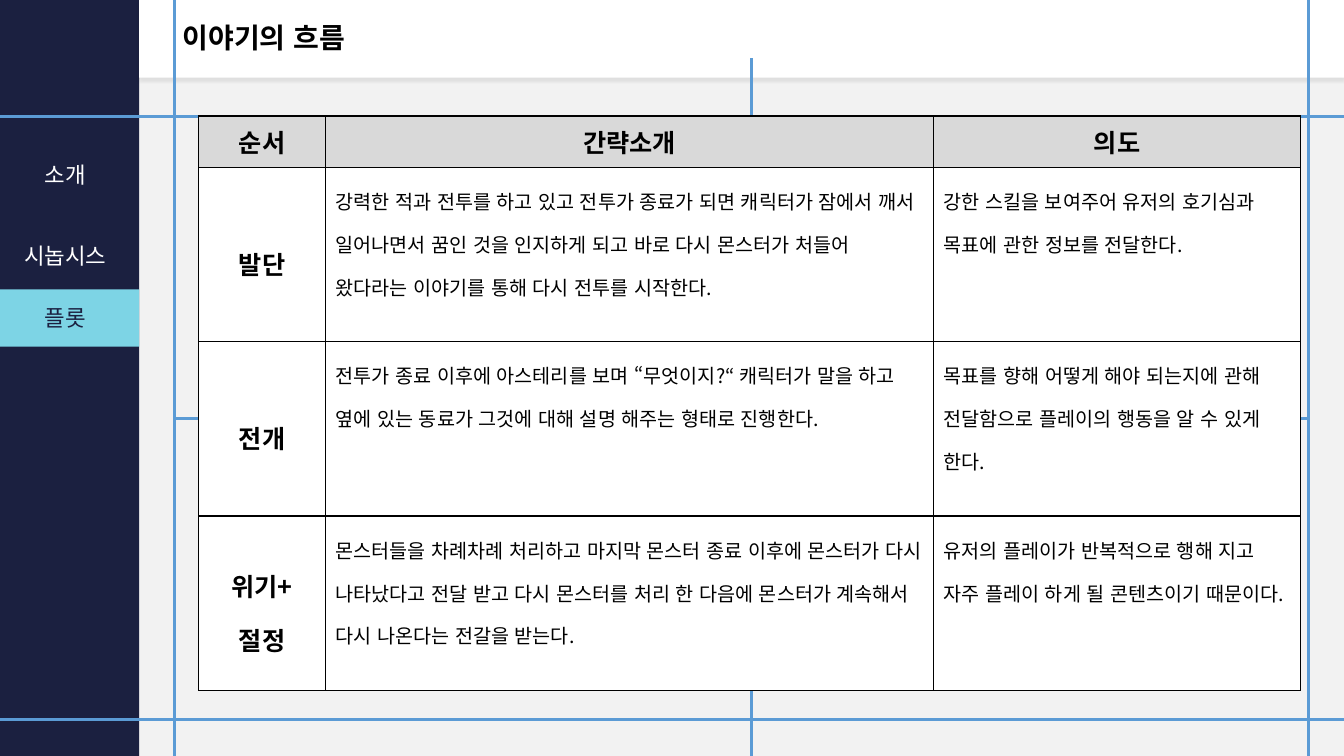
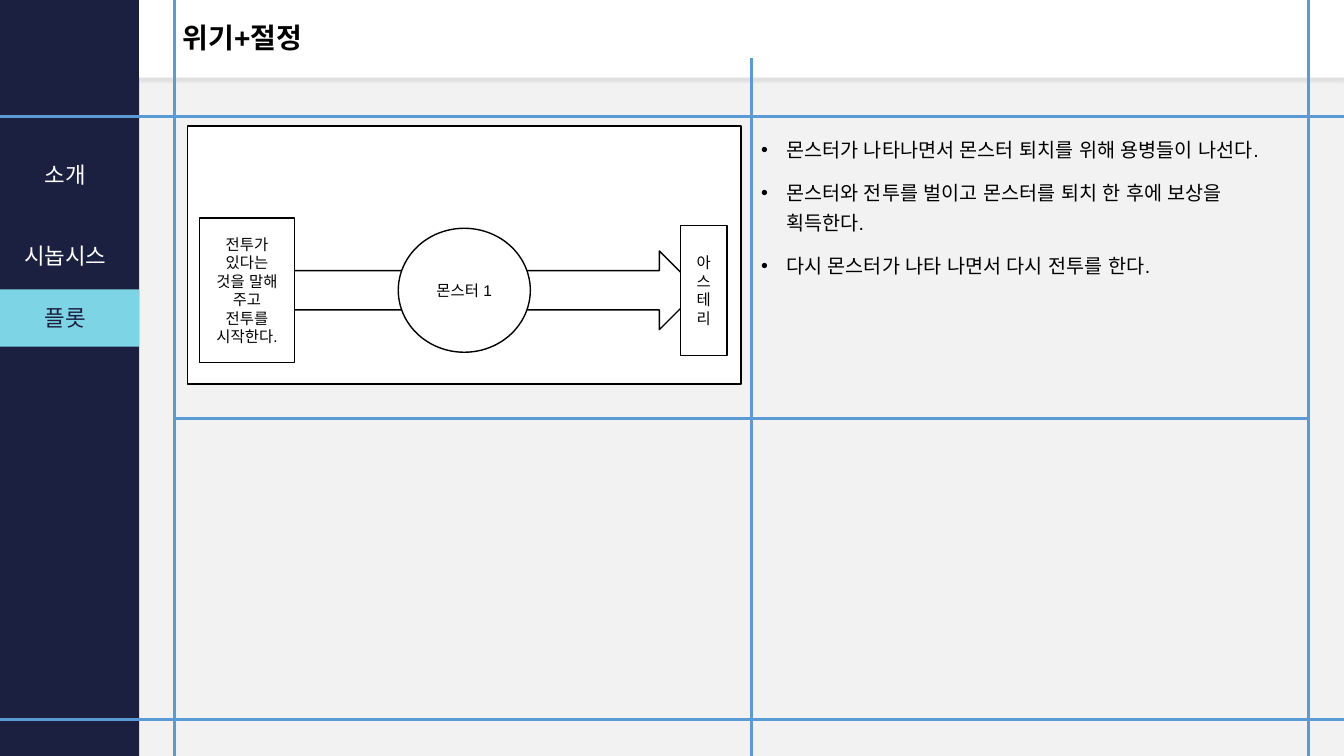
import lxml.etree
import pptx
import pptx.dml.color
import pptx.enum.lang
import pptx.enum.shapes
import pptx.enum.text
import pptx.oxml.ns
import pptx.util

Inches = pptx.util.Inches
Pt = pptx.util.Pt
ALIGN = pptx.enum.text.PP_ALIGN
ANCHOR = pptx.enum.text.MSO_ANCHOR
SHAPE = pptx.enum.shapes.MSO_SHAPE

COLORS = {
    "background": "F2F2F2", "navy": "1B2040", "highlight": "7DD4E5",
    "guide": "5B9BD5", "white": "FFFFFF", "black": "000000", "header": "D9D9D9",
}
LATIN_FONT = "Arial"
KOREAN_FONT = "Noto Sans CJK KR"

# Page grid in inches
WIDTH, HEIGHT = 13.33, 7.5
SIDEBAR = 1.38
BAND = 0.77
COLUMN_LEFT, COLUMN_MIDDLE, COLUMN_RIGHT = 1.73, 7.45, 12.98
ROW_TOP, ROW_MIDDLE, ROW_BOTTOM = 1.16, 4.15, 7.14
GUTTER = 0.1

MENU = [("소개", 1.55, "white"), ("시놉시스", 2.35, "white"), ("플롯", 2.97, "navy")]

PLOT_HEADER = ["순서", "간략소개", "의도"]
PLOT_ROWS = [
    ["발단",
     "강력한 적과 전투를 하고 있고 전투가 종료가 되면 캐릭터가 잠에서 깨서 일어나면서 꿈인 것을 "
     "인지하게 되고 바로 다시 몬스터가 처들어 왔다라는 이야기를 통해 다시 전투를 시작한다.",
     "강한 스킬을 보여주어 유저의 호기심과 목표에 관한 정보를 전달한다."],
    ["전개",
     "전투가 종료 이후에 아스테리를 보며 “무엇이지?“ 캐릭터가 말을 하고 옆에 있는 동료가 "
     "그것에 대해 설명 해주는 형태로 진행한다.",
     "목표를 향해 어떻게 해야 되는지에 관해 전달함으로 플레이의 행동을 알 수 있게 한다."],
    ["위기+\n절정",
     "몬스터들을 차례차례 처리하고 마지막 몬스터 종료 이후에 몬스터가 다시 나타났다고 전달 받고 "
     "다시 몬스터를 처리 한 다음에 몬스터가 계속해서 다시 나온다는 전갈을 받는다.",
     "유저의 플레이가 반복적으로 행해 지고 자주 플레이 하게 될 콘텐츠이기 때문이다."],
]
CLIMAX_POINTS = [
    "몬스터가 나타나면서 몬스터 퇴치를 위해 용병들이 나선다.",
    "몬스터와 전투를 벌이고 몬스터를 퇴치 한 후에 보상을 획득한다.",
    "다시 몬스터가 나타 나면서 다시 전투를 한다.",
]


def rgb(name):
    return pptx.dml.color.RGBColor.from_string(COLORS[name])


def add_xml(parent, tag, **attributes):
    return lxml.etree.SubElement(parent, pptx.oxml.ns.qn(tag), attributes)


def format_text(text_frame, size, color="black", bold=False, align=ALIGN.LEFT,
                spacing=1.0, font=LATIN_FONT):
    for paragraph in text_frame.paragraphs:
        paragraph.alignment = align
        paragraph.line_spacing = spacing
        for run in paragraph.runs:
            run.font.size = Pt(size)
            run.font.bold = bold
            run.font.color.rgb = rgb(color)
            run.font.name = font
            run.font.language_id = pptx.enum.lang.MSO_LANGUAGE_ID.KOREAN
            add_xml(run.font._element, "a:ea", typeface=KOREAN_FONT)


# Basic elements

def add_block(slide, kind, left, top, width, height, fill="white", outline=None, text=""):
    shape = slide.shapes.add_shape(kind, Inches(left), Inches(top),
                                   Inches(width), Inches(height))
    shape.shadow.inherit = False
    shape.fill.solid()
    shape.fill.fore_color.rgb = rgb(fill)
    if outline:
        shape.line.color.rgb = rgb(outline)
        shape.line.width = Pt(1)
    else:
        shape.line.fill.background()
    if text:
        shape.text_frame.text = text
        shape.text_frame.vertical_anchor = ANCHOR.MIDDLE
        format_text(shape.text_frame, 11, align=ALIGN.CENTER)
    return shape


def add_text(slide, left, top, width, height, text, wrap=True):
    box = slide.shapes.add_textbox(Inches(left), Inches(top), Inches(width), Inches(height))
    box.text_frame.word_wrap = wrap
    box.text_frame.text = text
    return box.text_frame


def add_guide(slide, x1, y1, x2, y2):
    line = slide.shapes.add_connector(pptx.enum.shapes.MSO_CONNECTOR.STRAIGHT,
                                      Inches(x1), Inches(y1), Inches(x2), Inches(y2))
    line.line.color.rgb = rgb("guide")
    line.line.width = Pt(2.25)
    add_xml(line.element.spPr, "a:effectLst")


def add_soft_shadow(shape):
    effects = shape.element.spPr.find(pptx.oxml.ns.qn("a:effectLst"))
    shadow = add_xml(effects, "a:outerShdw", blurRad=str(Pt(2)), dist=str(Pt(2)),
                     dir="5400000", algn="t", rotWithShape="0")
    color = add_xml(shadow, "a:srgbClr", val=COLORS["black"])
    add_xml(color, "a:alpha", val="8000")


# Shared frame, kept on the layout

def draw_frame(slide):
    add_block(slide, SHAPE.RECTANGLE, 0, 0, SIDEBAR, HEIGHT, "navy")
    add_soft_shadow(add_block(slide, SHAPE.RECTANGLE, SIDEBAR, 0, WIDTH - SIDEBAR, BAND))
    for x in (COLUMN_LEFT, COLUMN_RIGHT):
        add_guide(slide, x, 0, x, HEIGHT)
    for y in (ROW_TOP, ROW_BOTTOM):
        add_guide(slide, 0, y, WIDTH, y)
    add_guide(slide, COLUMN_LEFT, ROW_MIDDLE, COLUMN_RIGHT, ROW_MIDDLE)
    add_guide(slide, COLUMN_MIDDLE, 0.58, COLUMN_MIDDLE, HEIGHT)
    add_block(slide, SHAPE.RECTANGLE, 0, 2.87, SIDEBAR, 0.57, "highlight")
    for label, top, color in MENU:
        text_frame = add_text(slide, 0, top, 1.3, 0.37, label)
        format_text(text_frame, 16, color, align=ALIGN.CENTER)


def move_frame_to_layout(slide):
    layout = slide.slide_layout
    layout.background.fill.solid()
    layout.background.fill.fore_color.rgb = rgb("background")
    for shape in list(slide.shapes):
        if not shape.is_placeholder:
            layout.element.cSld.spTree.append(shape.element)


def set_title(slide, text):
    title = slide.shapes.title
    title.left, title.top = Inches(1.71), 0
    title.width, title.height = Inches(10.09), Inches(0.78)
    title.text_frame.text = text
    title.text_frame.auto_size = pptx.enum.text.MSO_AUTO_SIZE.NONE
    title.text_frame.vertical_anchor = ANCHOR.MIDDLE
    format_text(title.text_frame, 20, bold=True, spacing=0.9)


# Plot table

def format_cell(cell, text, fill, is_label, spacing):
    properties = cell._tc.get_or_add_tcPr()
    for side in ("a:lnL", "a:lnR", "a:lnT", "a:lnB"):
        border = add_xml(properties, side, w=str(Pt(1)))
        add_xml(add_xml(border, "a:solidFill"), "a:srgbClr", val=COLORS["black"])
    cell.fill.solid()
    cell.fill.fore_color.rgb = rgb(fill)
    cell.text_frame.text = text
    cell.vertical_anchor = ANCHOR.MIDDLE if is_label else ANCHOR.TOP
    format_text(cell.text_frame, 18 if is_label else 14, bold=is_label,
                align=ALIGN.CENTER if is_label else ALIGN.LEFT,
                spacing=spacing, font=KOREAN_FONT)


def add_plot_table(slide, left, top, widths, header_height, row_height):
    rows = [PLOT_HEADER] + PLOT_ROWS
    heights = [header_height] + [row_height] * len(PLOT_ROWS)
    table = slide.shapes.add_table(len(rows), len(widths), Inches(left), Inches(top),
                                   Inches(sum(widths)), Inches(sum(heights))).table
    table.first_row = table.horz_banding = False
    for column, width in zip(table.columns, widths):
        column.width = Inches(width)
    for i, (texts, height) in enumerate(zip(rows, heights)):
        table.rows[i].height = Inches(height)
        for j, text in enumerate(texts):
            is_header = i == 0
            format_cell(table.cell(i, j), text, "header" if is_header else "white",
                        is_header or j == 0, 1.0 if is_header else 1.5)


# Climax slide parts

def add_bullets(slide, points):
    text_frame = add_text(slide, COLUMN_MIDDLE, ROW_TOP + GUTTER,
                          COLUMN_RIGHT - COLUMN_MIDDLE, 5.6, "\n".join(points))
    indent = Inches(0.25)
    for index, paragraph in enumerate(text_frame.paragraphs):
        properties = paragraph._p.get_or_add_pPr()
        properties.set("marL", str(indent))
        properties.set("indent", str(-indent))
        add_xml(properties, "a:buFont", typeface=LATIN_FONT)
        add_xml(properties, "a:buChar", char="•")
        if index:
            paragraph.space_before = Pt(10)
    format_text(text_frame, 14, spacing=1.25)


def add_battle_diagram(slide):
    left = COLUMN_LEFT + 0.13
    width = COLUMN_MIDDLE - GUTTER - left
    axis = 2.88
    add_block(slide, SHAPE.RECTANGLE, left, ROW_TOP + 0.09, width, 2.56, outline="black")
    steps = [
        (SHAPE.RIGHT_ARROW, 2.19, 4.74, 0.78, ""),
        (SHAPE.OVAL, 3.95, 1.31, 1.23, "몬스터 1"),
        (SHAPE.RECTANGLE, 1.98, 0.94, 1.43, "전투가 있다는 것을 말해 주고 전투를 시작한다."),
        (SHAPE.RECTANGLE, 6.75, 0.46, 1.29, "아스테리"),
    ]
    for kind, x, step_width, height, text in steps:
        add_block(slide, kind, x, axis - height / 2, step_width, height,
                  outline="black", text=text)


def main():
    presentation = pptx.Presentation()
    presentation.slide_width = Inches(WIDTH)
    presentation.slide_height = Inches(HEIGHT)
    title_only = presentation.slide_layouts[5]

    # Story flow
    flow = presentation.slides.add_slide(title_only)
    draw_frame(flow)
    move_frame_to_layout(flow)
    set_title(flow, "이야기의 흐름")
    add_plot_table(flow, 1.97, 1.15, [1.26, 6.03, 3.64], 0.51, 1.73)

    # Crisis and climax
    climax = presentation.slides.add_slide(title_only)
    set_title(climax, "위기+절정")
    add_bullets(climax, CLIMAX_POINTS)
    add_battle_diagram(climax)

    presentation.save("out.pptx")


if __name__ == "__main__":
    main()
